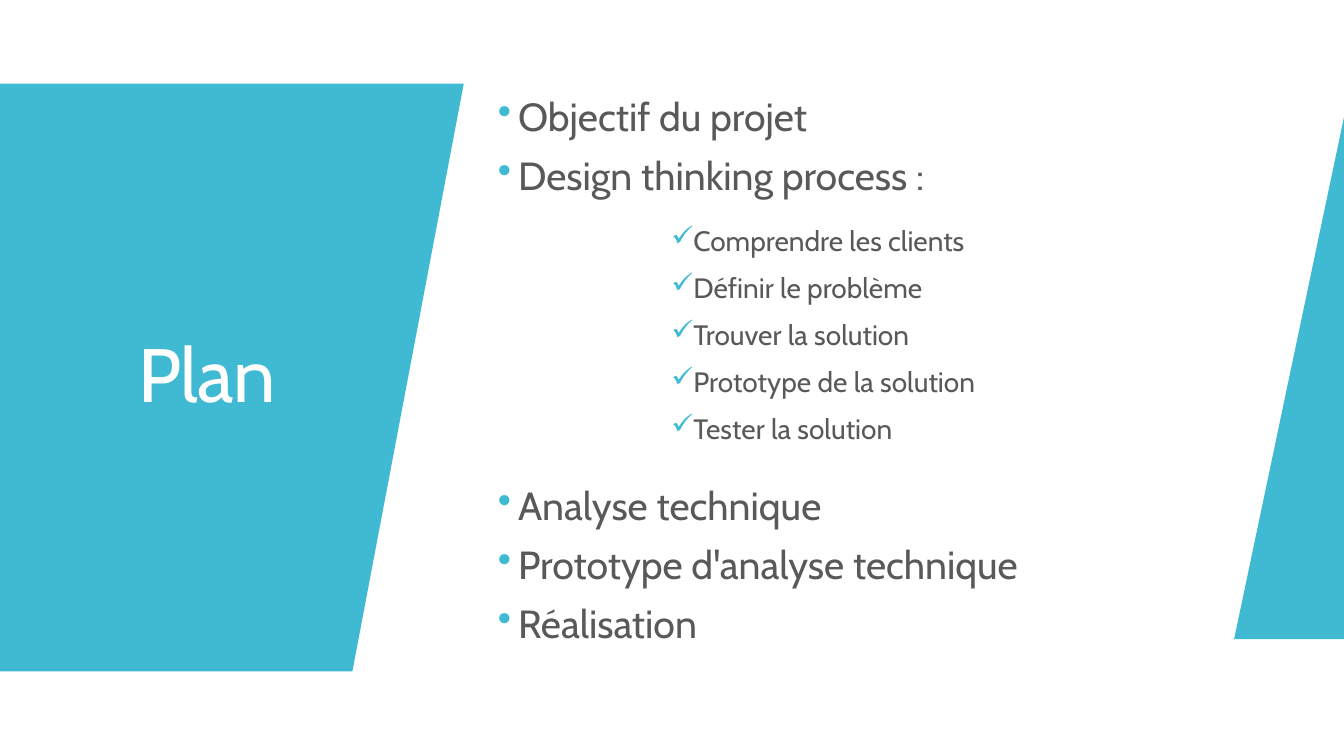
from lxml import etree
from pptx import Presentation
from pptx.dml.color import RGBColor
from pptx.enum.text import MSO_ANCHOR as Anchor, MSO_AUTO_SIZE as AutoSize, PP_ALIGN as Align
from pptx.oxml.ns import qn
from pptx.util import Inches, Pt

COLORS = {"accent": "40BAD2", "text": "595959", "light": "FFFFFF"}
FONT = "Cabin"


def rgb(name):
    return RGBColor.from_string(COLORS[name])


def apply(target, values):
    for key, value in values.items():
        setattr(target, key, value)


def place(shape, box):
    apply(shape, dict(zip(("left", "top", "width", "height"), map(Inches, box))))


def format_frame(frame, anchor):
    apply(frame, {"word_wrap": True, "auto_size": AutoSize.NONE, "vertical_anchor": anchor})


def write(paragraph, text, size, color):
    run = paragraph.add_run()
    run.text = text
    apply(run.font, {"name": FONT, "size": Pt(size), "bold": False})
    run.font.color.rgb = rgb(color)
    paragraph.line_spacing = 0.9
    return run


def add_panel(slide, box, corners):
    left, top, width, height = box
    points = [(Inches(left + x * width), Inches(top + y * height)) for x, y in corners]
    builder = slide.shapes.build_freeform(*points[0], scale=1.0)
    builder.add_line_segments(points[1:], close=True)
    panel = builder.convert_to_shape()
    panel.shadow.inherit = False
    panel.fill.solid()
    panel.fill.fore_color.rgb = rgb("accent")
    panel.line.fill.background()


def add_title(slide, box, text):
    title = slide.shapes.title
    slide.shapes.element.append(title.element)
    place(title, box)
    format_frame(title.text_frame, Anchor.MIDDLE)
    paragraph = title.text_frame.paragraphs[0]
    paragraph.alignment = Align.CENTER
    run = write(paragraph, text, 54, "light")
    run.font.element.set("spc", "-60") if hasattr(run.font, "element") else run._r.get_or_add_rPr().set("spc", "-60")


def add_bullet(paragraph, mark):
    properties = paragraph._p.get_or_add_pPr()
    apply_indent = {"marL": Inches(0.2), "indent": -Inches(0.2)}
    for key, value in apply_indent.items():
        properties.set(key, str(int(value)))
    bullet_color = etree.SubElement(properties, qn("a:buClr"))
    etree.SubElement(bullet_color, qn("a:srgbClr"), val=COLORS["accent"])
    etree.SubElement(properties, qn("a:buChar"), char=mark)


def add_list(slide, box, items, mark, size):
    frame = slide.shapes.add_textbox(*map(Inches, box)).text_frame
    format_frame(frame, Anchor.BOTTOM)
    for index, item in enumerate(items):
        paragraph = frame.add_paragraph() if index else frame.paragraphs[0]
        write(paragraph, item, size, "text")
        paragraph.space_before = Pt(12)
        add_bullet(paragraph, mark)


def build_plan(slide):
    add_panel(slide, (0, 0.83, 4.6, 5.83), [(0, 0), (1, 0), (0.76, 1), (0, 1)])
    add_panel(slide, (12.24, 1.16, 1.09, 5.18), [(1, 0), (1, 1), (0, 1)])
    add_title(slide, (0.54, 1.84, 3.03, 3.82), "Plan")
    add_list(slide, (4.84, 0.97, 4.61, 1.05),
             ["Objectif du projet", "Design thinking process :"], "•", 28)
    add_list(slide, (6.56, 2.03, 4.61, 2.44),
             ["Comprendre les clients", "Définir le problème", "Trouver la solution",
              "Prototype de la solution", "Tester la solution"], "✓", 20)
    add_list(slide, (4.84, 4.47, 5.69, 2),
             ["Analyse technique", "Prototype d'analyse technique", "Réalisation"], "•", 28)


deck = Presentation()
apply(deck, {"slide_width": Inches(13.33), "slide_height": Inches(7.5)})
build_plan(deck.slides.add_slide(deck.slide_layouts[5]))
deck.save("out.pptx")
